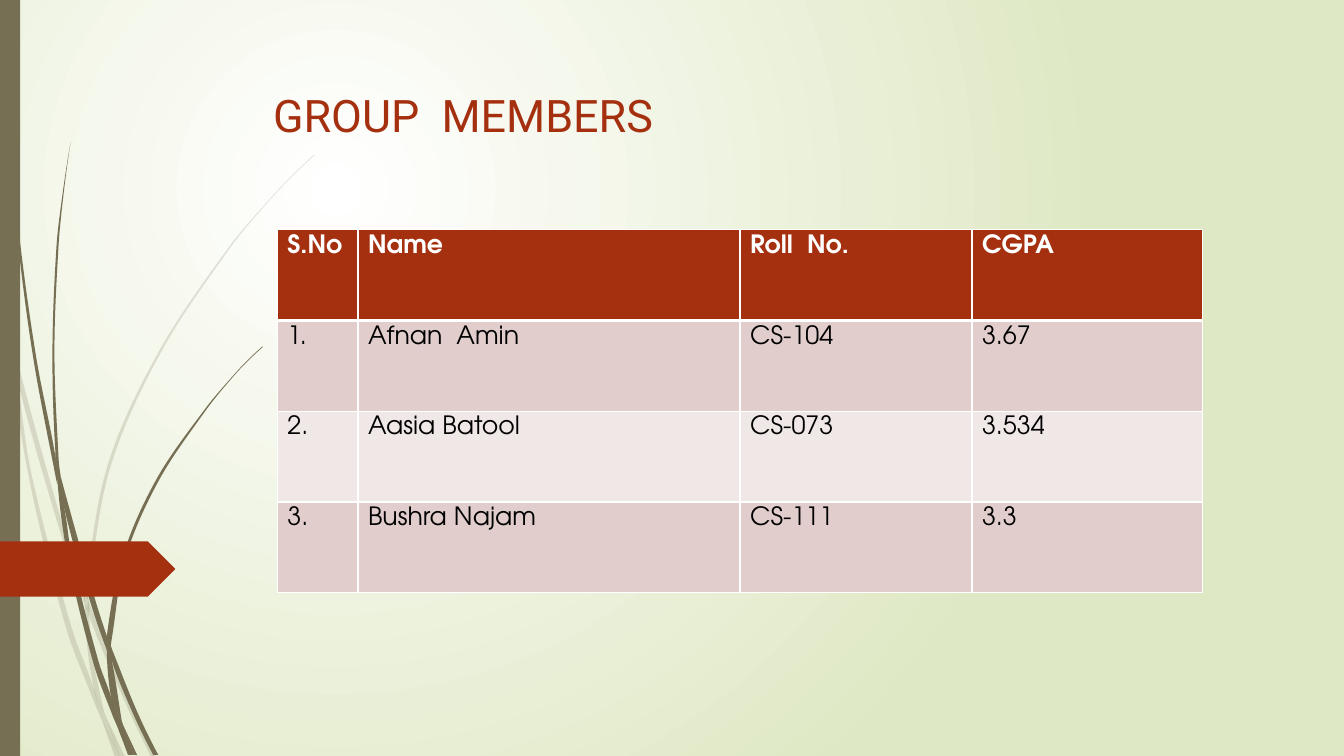
import pptx
import pptx.dml.color
import pptx.enum.shapes
import pptx.oxml
import pptx.oxml.ns
import pptx.util
from lxml import etree
from pptx.util import Inches

RUST, OLIVE, WHITE, BLACK = "A53010", "766F54", "FFFFFF", "000000"
BANDS = ["E1CDCC", "F0E8E7"]
SIDES = ["L", "R", "T", "B"]

# Each leaf of grass: knots (x, y) down its left edge, then down its right edge
PALE = [
    ([(0, 2.99), (0.1, 3.44), (0.11, 3.5)], [(0, 2.82), (0.09, 3.22), (0.11, 3.5)]),
    ([(0.14, 3.45), (0.17, 3.76), (0.58, 5.22), (0.84, 5.99)],
     [(0.14, 3.45), (0.62, 5.2), (0.85, 5.86)]),
    ([(0.88, 5.96), (0.88, 6.1), (1.23, 6.94), (1.5, 7.51)],
     [(0.88, 5.96), (0.92, 6.07), (1.27, 6.92), (1.55, 7.51)]),
    ([(1.05, 7.11), (1.19, 7.51)], [(1.05, 7.11), (1.24, 7.51)]),
    ([(0.11, 3.5), (0.28, 4.7), (0.65, 6.21), (0.92, 6.93), (1.01, 7.14)],
     [(0.11, 3.5), (0.17, 3.76), (0.31, 4.69), (0.7, 6.19), (0.93, 6.83),
      (0.99, 7.07), (1.01, 7.14)]),
    ([(0.84, 5.99), (0.87, 6.46), (0.93, 6.83), (0.96, 6.92), (1.05, 7.11)],
     [(0.84, 5.99), (0.88, 6.1), (0.91, 6.46), (1.03, 7.06), (1.05, 7.11)]),
    ([(3.12, 1.53), (2.89, 1.75), (2.68, 1.97), (2.28, 2.44), (1.58, 3.48),
      (1.07, 4.61), (0.85, 5.86), (0.88, 5.96)],
     [(3.12, 1.54), (2.9, 1.75), (2.68, 1.98), (2.29, 2.45), (1.6, 3.49),
      (1.1, 4.62), (0.88, 5.84), (0.88, 5.96)]),
    ([(1.01, 7.14), (1.14, 7.51)], [(1.01, 7.14), (1.19, 7.51)]),
    ([(0.85, 5.86), (0.84, 5.99), (0.88, 6.08)],
     [(0.85, 5.86), (0.88, 5.96), (0.88, 6.1)]),
    ([(0.93, 6.83), (0.99, 7.07), (1.01, 7.14), (1.19, 7.51)],
     [(0.93, 6.83), (0.96, 6.92), (1.05, 7.11), (1.19, 7.51)]),
]
DARK = [
    ([(0.03, 0), (0.04, 0.48), (0.07, 1.1), (0.17, 2.33), (0.33, 3.55),
      (0.56, 4.77), (0.57, 4.81)],
     [(0.04, 0), (0.05, 0.48), (0.08, 1.09), (0.19, 2.32), (0.36, 3.55),
      (0.55, 4.53), (0.57, 4.81)]),
    ([(0.6, 4.72), (0.64, 5.05), (0.88, 5.92), (1.06, 6.45)],
     [(0.6, 4.72), (0.93, 5.9), (1.06, 6.31)]),
    ([(1.1, 6.41), (1.11, 6.56), (1.32, 7.08), (1.52, 7.49)],
     [(1.1, 6.41), (1.13, 6.49), (1.36, 7.06), (1.57, 7.49)]),
    ([(0.57, 4.77), (0.68, 5.57), (0.93, 6.59), (1.11, 7.08), (1.17, 7.22)],
     [(0.57, 4.77), (0.64, 5.05), (0.72, 5.56), (0.98, 6.57), (1.1, 6.91),
      (1.17, 7.22)]),
    ([(0.7, 1.41), (0.62, 1.93), (0.56, 2.45), (0.52, 3.49), (0.55, 4.49),
      (0.6, 4.72)],
     [(0.7, 1.41), (0.63, 1.93), (0.58, 2.45), (0.54, 3.49), (0.58, 4.53),
      (0.6, 4.72)]),
    ([(1.22, 7.19), (1.33, 7.49)], [(1.22, 7.19), (1.36, 7.49)]),
    ([(0.55, 4.49), (0.57, 4.77), (0.64, 5.05)],
     [(0.55, 4.49), (0.6, 4.72), (0.64, 5.05)]),
    ([(2.6, 3.44), (2.45, 3.58), (2.31, 3.73), (2.04, 4.05), (1.56, 4.74),
      (1.22, 5.51), (1.06, 6.31), (1.1, 6.41)],
     [(2.61, 3.44), (2.45, 3.59), (2.31, 3.74), (2.05, 4.06), (1.58, 4.76),
      (1.25, 5.52), (1.11, 6.33), (1.1, 6.41)]),
    ([(1.17, 7.22), (1.27, 7.49)], [(1.17, 7.22), (1.31, 7.49)]),
    ([(1.06, 6.45), (1.1, 6.91), (1.16, 7.06), (1.22, 7.19)],
     [(1.06, 6.45), (1.11, 6.56), (1.21, 7.16), (1.22, 7.19)]),
    ([(1.06, 6.31), (1.06, 6.45), (1.11, 6.56)],
     [(1.06, 6.31), (1.1, 6.41), (1.11, 6.56)]),
    ([(1.1, 6.91), (1.17, 7.22), (1.3, 7.49)],
     [(1.1, 6.91), (1.16, 7.06), (1.22, 7.19), (1.33, 7.49)]),
]

COLS = [0.8, 3.79, 2.3, 2.29]
ROWS = [
    ["S.No", "Name", "Roll  No.", "CGPA"],
    ["1.", "Afnan  Amin", "CS-104", "3.67"],
    ["2.", "Aasia Batool", "CS-073", "3.534"],
    ["3.", "Bushra Najam", "CS-111", "3.3"],
]


def color(code):
    return pptx.dml.color.RGBColor.from_string(code)


def node(parent, tag, **attrs):
    return etree.SubElement(parent, pptx.oxml.ns.qn(tag), attrs)


def paint(shape, code, alpha=100):
    shape.shadow.inherit = False
    shape.fill.solid()
    shape.fill.fore_color.rgb = color(code)
    shape.line.fill.background()
    if alpha < 100:
        rgb = shape._element.spPr.find(".//" + pptx.oxml.ns.qn("a:srgbClr"))
        node(rgb, "a:alpha", val=str(alpha * 1000))


def add_back(slide):
    fill = slide.background.fill
    fill.gradient()
    for stop, code in zip(fill.gradient_stops, [WHITE, "DFE8C4"]):
        stop.color.rgb = color(code)
    grad = slide.element.find(".//" + pptx.oxml.ns.qn("a:gradFill"))
    grad.remove(grad.find(pptx.oxml.ns.qn("a:lin")))
    ring = node(grad, "a:path", path="circle")
    node(ring, "a:fillToRect", l="50000", t="50000", r="100000", b="100000")


def slope(a, b):
    return (b[0] - a[0]) / (b[1] - a[1])


def smooth(knots):
    """Knots joined by cubic curves, with two handles between each pair."""
    tilts = [slope(a, b) for a, b in zip(knots, knots[2:])]
    first, final = slope(*knots[:2]), slope(*knots[-2:])
    if tilts:
        first, final = 2 * first - tilts[0], 2 * final - tilts[-1]
    tilts = [first, *tilts, final]
    points = [knots[0]]
    for i, ((x0, y0), (x1, y1)) in enumerate(zip(knots, knots[1:])):
        third = (y1 - y0) / 3
        points += [(x0 + tilts[i] * third, y0 + third),
                   (x1 - tilts[i + 1] * third, y1 - third), (x1, y1)]
    return [(Inches(x), Inches(y)) for x, y in points]


def add_leaf(slide, left, right, alpha):
    edge, back = smooth(left), smooth(right)[::-1]
    if edge[-1] != back[0]:
        edge += back[:1] * 3
    edge += back[1:]
    form = slide.shapes.build_freeform(*edge[0])
    form.add_line_segments(edge[1:], close=True)
    shape = form.convert_to_shape()
    lines = list(shape._element.iter(pptx.oxml.ns.qn("a:lnTo")))
    for i in range(0, len(lines), 3):
        curve = etree.Element(pptx.oxml.ns.qn("a:cubicBezTo"))
        lines[i].addprevious(curve)
        for line in lines[i:i + 3]:
            curve.append(line[0])
            line.getparent().remove(line)
    paint(shape, OLIVE, alpha)


def add_block(slide, kind, code, *place):
    paint(slide.shapes.add_shape(kind, *map(Inches, place)), code)


def add_run(para, text, font, size, code, bold=False):
    run = para.add_run()
    run.text = text
    run.font.name = font
    run.font.size = pptx.util.Pt(size)
    run.font.bold = bold
    run.font.color.rgb = color(code)


def add_title(slide, text):
    box = slide.shapes.add_textbox(*map(Inches, (2.61, 0.82, 9.75, 0.8)))
    box.text_frame.word_wrap = True
    add_run(box.text_frame.paragraphs[0], text, "Roboto", 32, RUST)


def add_edges(cell, widths):
    props = cell._tc.get_or_add_tcPr()
    for i, (side, width) in enumerate(zip(SIDES, widths)):
        line = pptx.oxml.parse_xml(
            f'<a:ln{side} {pptx.oxml.ns.nsdecls("a")} w="{width * 12700}">'
            f'<a:solidFill><a:srgbClr val="{WHITE}"/></a:solidFill></a:ln{side}>')
        props.insert(i, line)


def add_grid(slide):
    place = map(Inches, (2.75, 2.28, sum(COLS), 3.6))
    table = slide.shapes.add_table(len(ROWS), len(COLS), *place).table
    for col, width in zip(table.columns, COLS):
        col.width = Inches(width)
    for r, row in enumerate(ROWS):
        head = r == 0
        for c, text in enumerate(row):
            cell = table.cell(r, c)
            cell.fill.solid()
            cell.fill.fore_color.rgb = color(RUST if head else BANDS[(r - 1) % 2])
            add_edges(cell, [1, 1, 3 if r == 1 else 1, 3 if head else 1])
            add_run(cell.text_frame.paragraphs[0], text, "TeX Gyre Adventor",
                    18, WHITE if head else BLACK, head)


def main():
    deck = pptx.Presentation()
    deck.slide_width, deck.slide_height = Inches(13.33), Inches(7.5)
    slide = deck.slides.add_slide(deck.slide_layouts[6])
    kinds = pptx.enum.shapes.MSO_SHAPE
    add_back(slide)
    for leaves, alpha in [(PALE, 20), (DARK, 100)]:
        for left, right in leaves:
            add_leaf(slide, left, right, alpha)
    add_block(slide, kinds.RECTANGLE, OLIVE, 0, 0, 0.2, 7.5)
    add_block(slide, kinds.PENTAGON, RUST, 0, 5.37, 1.74, 0.55)
    add_title(slide, "GROUP  MEMBERS")
    add_grid(slide)
    deck.save("out.pptx")


if __name__ == "__main__":
    main()
